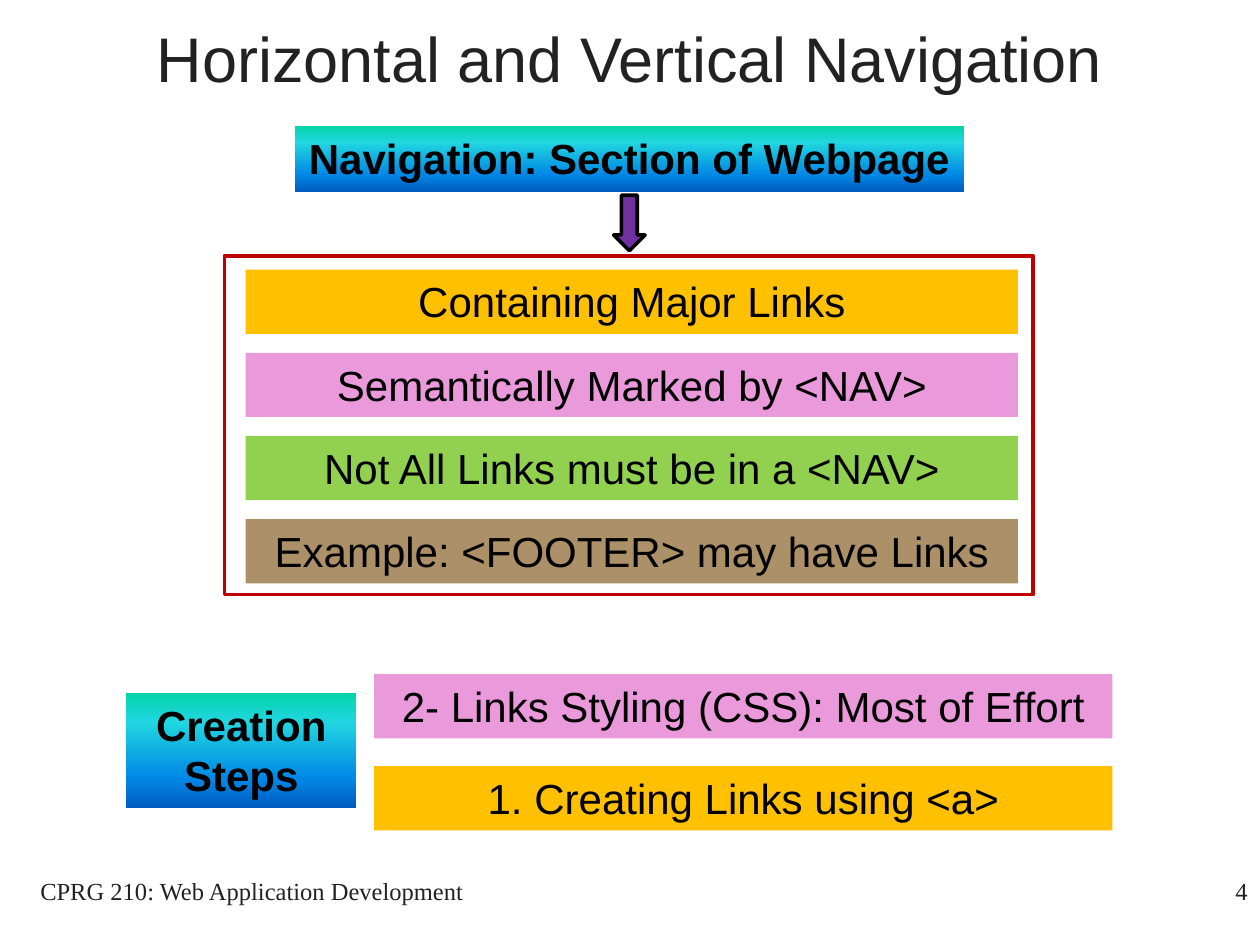
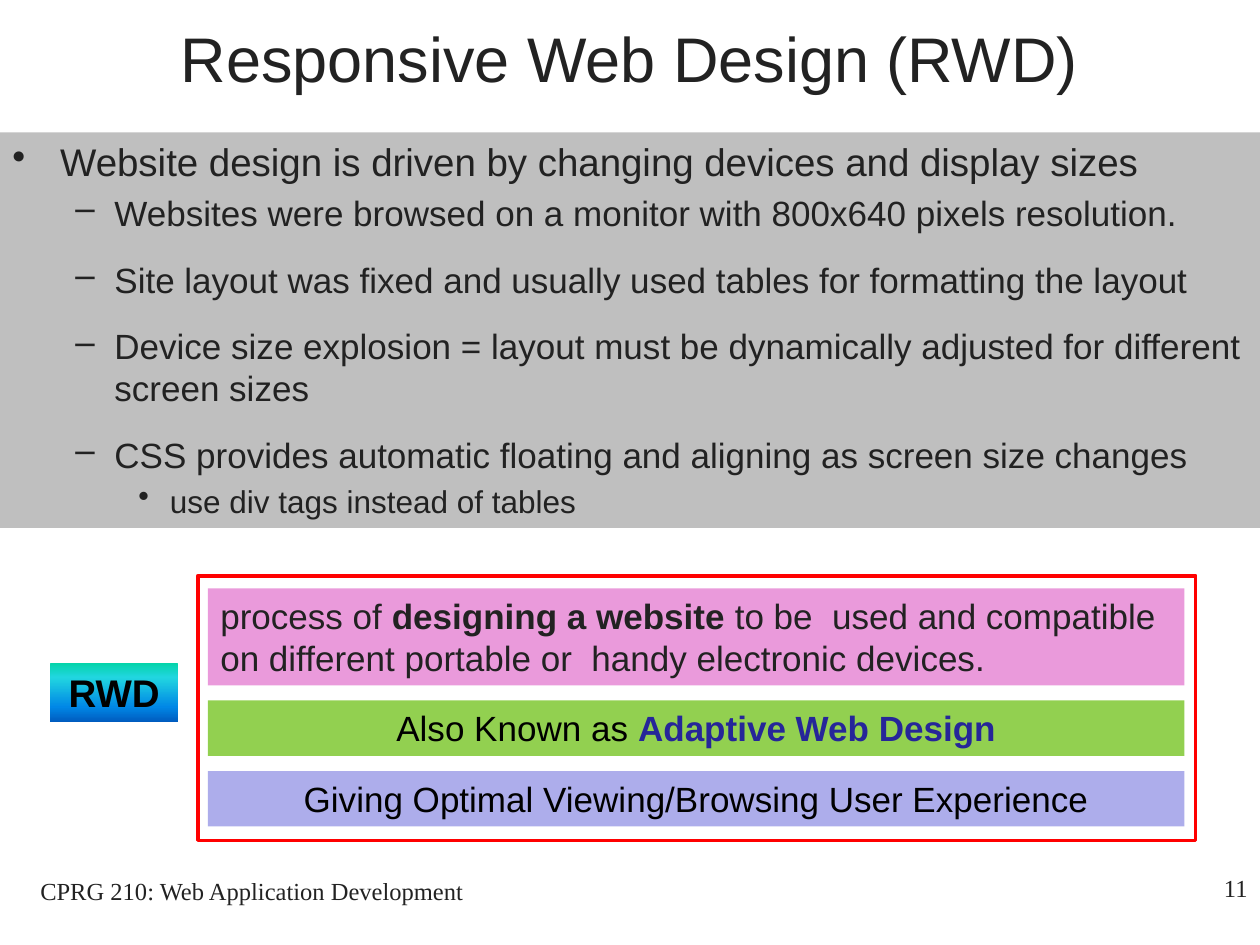
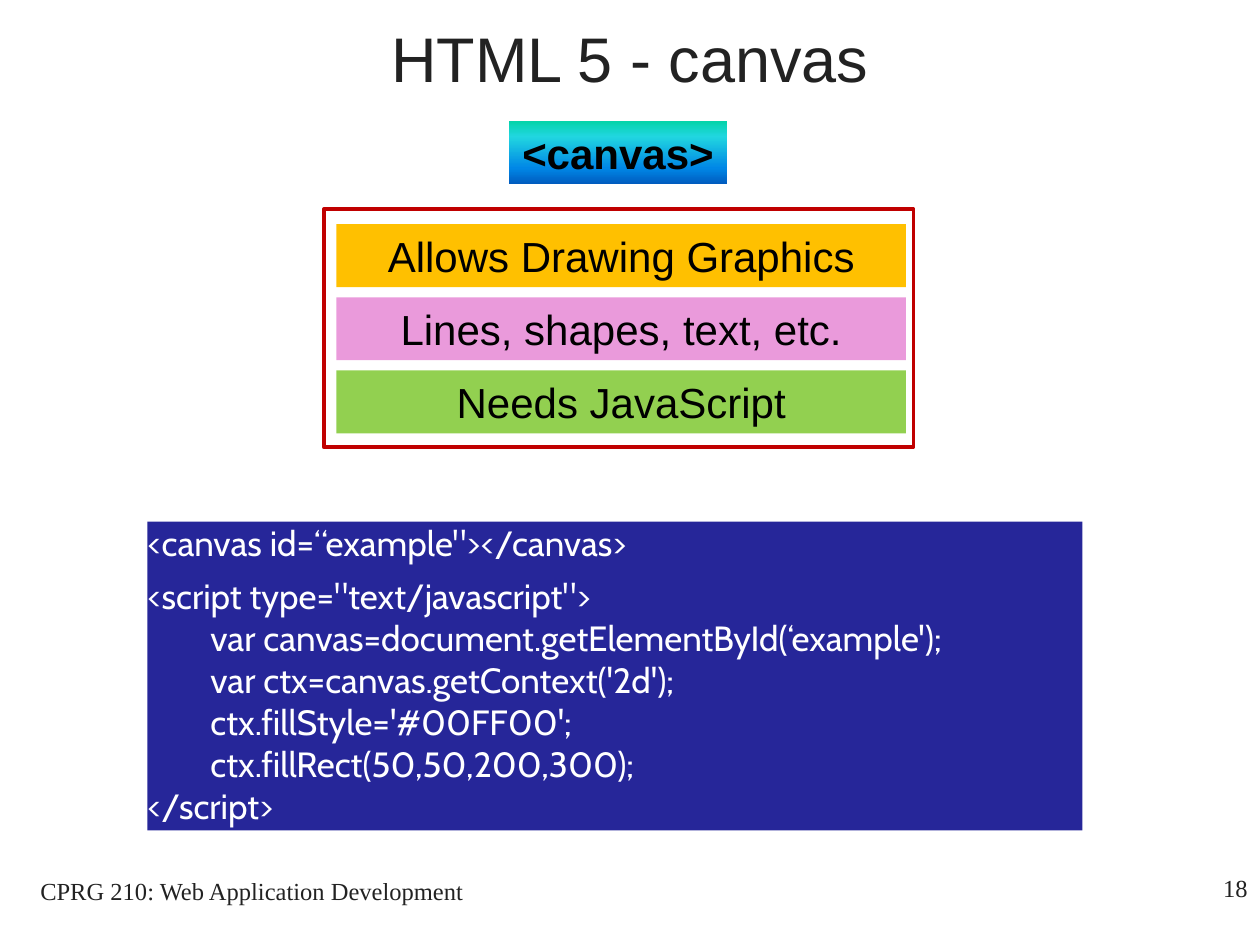
from dataclasses import dataclass

from pptx import Presentation
from pptx.dml.color import RGBColor
from pptx.enum.shapes import MSO_SHAPE
from pptx.enum.text import MSO_ANCHOR, MSO_AUTO_SIZE, PP_ALIGN
from pptx.oxml.ns import qn
from pptx.oxml.xmlchemy import OxmlElement
from pptx.util import Inches, Pt

RECTANGLE, DOWN_ARROW = MSO_SHAPE.RECTANGLE, MSO_SHAPE.DOWN_ARROW
TOP, MIDDLE = MSO_ANCHOR.TOP, MSO_ANCHOR.MIDDLE
LEFT, CENTER, RIGHT = PP_ALIGN.LEFT, PP_ALIGN.CENTER, PP_ALIGN.RIGHT
TITLE_ONLY = 5


@dataclass(frozen=True)
class Theme:
    ink: str = "222222"
    black: str = "000000"
    white: str = "FFFFFF"
    amber: str = "FFC000"
    pink: str = "EA9ADB"
    green: str = "92D050"
    brown: str = "886128"
    lilac: str = "ADADEB"
    navy: str = "262699"
    grey: str = "BFBFBF"
    purple: str = "7030A0"
    dark_red: str = "C00000"
    red: str = "FF0000"
    heading_stops: tuple = ((0, "03D4A8"), (25, "21D6E0"), (75, "0087E6"), (100, "005CBF"))
    body_font: str = "Arial"
    footer_font: str = "Times New Roman"
    code_font: str = "Cabin"
    title_size: int = 36
    bar_size: int = 24
    lead_size: int = 22
    text_size: int = 20
    small_size: int = 18
    footer_size: int = 14
    line_width: int = 2


THEME = Theme()
FOOTER = "CPRG 210: Web Application Development"
OUTLINE_LEVELS = (
    # bullet, left indent, hanging indent, type size
    ("•", 0.38, 0.38, THEME.lead_size),
    ("–", 0.81, 0.31, THEME.text_size),
    ("•", 1.25, 0.25, THEME.small_size),
)


def set_all(target, values):
    for name, value in values.items():
        setattr(target, name, value)


def add_xml(parent, tag, **attributes):
    child = OxmlElement(tag)
    for name, value in attributes.items():
        child.set(name, str(value))
    parent.append(child)
    return child


def place(box, left, top, width, height):
    set_all(box, {"left": Inches(left), "top": Inches(top),
                  "width": Inches(width), "height": Inches(height)})


def set_frame(box, anchor=TOP, margin=None):
    frame = box.text_frame
    set_all(frame, {"word_wrap": True, "auto_size": MSO_AUTO_SIZE.NONE,
                    "vertical_anchor": anchor})
    if margin is not None:
        sides = ("left", "top", "right", "bottom")
        set_all(frame, {f"margin_{side}": Inches(margin) for side in sides})


def write(para, text, size, color=THEME.black, font=THEME.body_font, bold=False, **layout):
    """Add a styled span, turning each newline into a line break."""
    set_all(para, layout)
    for number, line in enumerate(text.split("\n")):
        if number:
            para.add_line_break()
        span = para.add_run()
        span.text = line
        set_all(span.font, {"name": font, "size": Pt(size), "bold": bold})
        span.font.color.rgb = RGBColor.from_string(color)


def add_block(shapes, area, fill=None, line=None, kind=RECTANGLE):
    block = shapes.add_shape(kind, *map(Inches, area))
    block.shadow.inherit = False
    if fill:
        block.fill.solid()
        block.fill.fore_color.rgb = RGBColor.from_string(fill)
    else:
        block.fill.background()
    if line:
        block.line.color.rgb = RGBColor.from_string(line)
        block.line.width = Pt(THEME.line_width)
    else:
        block.line.fill.background()
    return block


def add_bar(shapes, area, text, fill, size=THEME.bar_size):
    bar = add_block(shapes, area, fill)
    set_frame(bar)
    write(bar.text_frame.paragraphs[0], text, size, alignment=CENTER)
    return bar


def add_heading(shapes, area, text, size=THEME.bar_size, anchor=TOP):
    """Add a bold label on the teal-to-blue gradient."""
    heading = add_block(shapes, area)
    heading.fill.gradient()
    heading.fill.gradient_angle = 270
    stops = heading._element.spPr.find(".//" + qn("a:gsLst"))
    for stop in list(stops):
        stops.remove(stop)
    for percent, color in THEME.heading_stops:
        stop = add_xml(stops, "a:gs", pos=percent * 1000)
        add_xml(stop, "a:srgbClr", val=color)
    set_frame(heading, anchor)
    write(heading.text_frame.paragraphs[0], text, size, bold=True, alignment=CENTER)


def make_translucent(block, percent):
    color = block._element.spPr.find(qn("a:solidFill")).find(qn("a:srgbClr"))
    add_xml(color, "a:alpha", val=percent * 1000)


def add_framed_bars(page, frame_area, frame_color, bar_area, gap, rows, size=THEME.bar_size):
    """Stack equal bars inside an outlined frame, as one group; return the bars."""
    shapes = page.shapes.add_group_shape().shapes
    left, top, width, height = bar_area
    bars = [
        add_bar(shapes, (left, top + row * (height + gap), width, height), text, fill, size)
        for row, (text, fill) in enumerate(rows)
    ]
    add_block(shapes, frame_area, line=frame_color)
    return bars


def add_outline(page, area, fill, entries):
    """Fill a panel with bulleted entries of (level, text, points after)."""
    panel = add_block(page.shapes, area, fill)
    set_frame(panel)
    for number, (level, text, after) in enumerate(entries):
        frame = panel.text_frame
        para = frame.add_paragraph() if number else frame.paragraphs[0]
        bullet, indent, hanging, size = OUTLINE_LEVELS[level]
        write(para, text, size, THEME.ink, level=level, alignment=LEFT,
              space_before=Pt(size * 0.2), space_after=Pt(after))
        properties = para._p.get_or_add_pPr()
        properties.set("marL", str(Inches(indent)))
        properties.set("indent", str(-Inches(hanging)))
        add_xml(properties, "a:buChar", char=bullet)


def add_code(page, area, chunks):
    panel = add_block(page.shapes, area, THEME.navy)
    set_frame(panel, margin=0)
    for number, chunk in enumerate(chunks):
        frame = panel.text_frame
        para = frame.add_paragraph() if number else frame.paragraphs[0]
        write(para, chunk, THEME.text_size, THEME.white, THEME.code_font,
              alignment=LEFT, space_after=Pt(6))


def add_footer_text(page, area, text, alignment):
    box = page.shapes.add_textbox(*map(Inches, area))
    set_frame(box)
    write(box.text_frame.paragraphs[0], text, THEME.footer_size, THEME.ink,
          THEME.footer_font, alignment=alignment)


def add_page(deck, title, number, number_top=6.88):
    page = deck.slides.add_slide(deck.slide_layouts[TITLE_ONLY])
    box = page.shapes.title
    place(box, 0.58, -0.17, 8.83, 1.25)
    set_frame(box, MIDDLE)
    write(box.text_frame.paragraphs[0], title, THEME.title_size, THEME.ink, alignment=CENTER)
    add_footer_text(page, (7.92, number_top, 2.08, 0.5), str(number), RIGHT)
    add_footer_text(page, (0, 6.9, 4, 0.5), FOOTER, CENTER)
    return page


def build_navigation(deck):
    page = add_page(deck, "Horizontal and Vertical Navigation", 4, number_top=6.9)
    add_heading(page.shapes, (2.34, 1, 5.31, 0.52), "Navigation: Section of Webpage")
    add_block(page.shapes, (4.87, 1.55, 0.25, 0.44), THEME.purple, THEME.black, DOWN_ARROW)
    bars = add_framed_bars(
        page, (1.78, 2.03, 6.42, 2.69), THEME.dark_red, (1.95, 2.14, 6.13, 0.51), 0.15,
        [("Containing Major Links", THEME.amber),
         ("Semantically Marked by <NAV>", THEME.pink),
         ("Not All Links must be in a <NAV>", THEME.green),
         ("Example: <FOOTER> may have Links", THEME.brown)])
    make_translucent(bars[-1], 70)
    add_heading(page.shapes, (1, 5.5, 1.83, 0.91), "Creation Steps")
    for top, text, fill in (
            (5.35, "2- Links Styling (CSS): Most of Effort", THEME.pink),
            (6.08, "1. Creating Links using <a>", THEME.amber)):
        add_bar(page.shapes, (2.97, top, 5.86, 0.51), text, fill)


def build_responsive_design(deck):
    page = add_page(deck, "Responsive Web Design (RWD)", 11)
    add_outline(page, (0, 1.05, 10, 3.14), THEME.grey, [
        (0, "Website design is driven by changing devices and display sizes", 0),
        (1, "Websites were browsed on a monitor with 800x640 pixels resolution.", 10),
        (1, "Site layout was fixed and usually used tables for formatting the layout", 10),
        (1, "Device size explosion = layout must be dynamically adjusted for different "
            "screen sizes", 10),
        (1, "CSS provides automatic floating and aligning as screen size changes", 0),
        (2, "use div tags instead of tables", 0),
    ])
    definition, synonym, _ = add_framed_bars(
        page, (1.57, 4.57, 7.92, 2.1), THEME.red, (1.65, 5.0, 7.75, 0.44), 0.12,
        [("", THEME.pink),
         ("Also Known as ", THEME.green),
         ("Giving Optimal Viewing/Browsing User Experience", THEME.lilac)],
        THEME.text_size)
    place(definition, 1.65, 4.67, 7.75, 0.77)
    para = definition.text_frame.paragraphs[0]
    para.clear()
    for text, bold in (
            ("process of ", False),
            ("designing a website ", True),
            ("to be  used and compatible on different portable or  handy electronic devices.",
             False)):
        write(para, text, THEME.text_size, THEME.ink, bold=bold, alignment=LEFT,
              space_before=Pt(1))
    write(synonym.text_frame.paragraphs[0], "Adaptive Web Design", THEME.text_size,
          THEME.navy, bold=True)
    add_heading(page.shapes, (0.4, 5.26, 1.01, 0.47), "RWD", THEME.lead_size, MIDDLE)


def build_canvas(deck):
    page = add_page(deck, "HTML 5 - canvas", 18)
    place(page.shapes.title, 0, -0.17, 10, 1.25)
    add_heading(page.shapes, (4.04, 0.96, 1.73, 0.5), "<canvas>")
    add_framed_bars(
        page, (2.57, 1.66, 4.68, 1.89), THEME.dark_red, (2.67, 1.78, 4.52, 0.5), 0.08,
        [("Allows Drawing Graphics", THEME.amber),
         ("Lines, shapes, text, etc.", THEME.pink),
         ("Needs JavaScript", THEME.green)])
    add_code(page, (1.17, 4.14, 7.42, 2.45), [
        "<canvas id=“example\"></canvas>",
        "<script type=\"text/javascript\">\n"
        "\tvar canvas=document.getElementById(‘example');\n"
        "\tvar ctx=canvas.getContext('2d');\n"
        "\tctx.fillStyle='#00FF00';\n"
        "\tctx.fillRect(50,50,200,300);\n"
        "</script>",
    ])


def main():
    deck = Presentation()
    set_all(deck, {"slide_width": Inches(10), "slide_height": Inches(7.5)})
    build_navigation(deck)
    build_responsive_design(deck)
    build_canvas(deck)
    deck.save("out.pptx")


if __name__ == "__main__":
    main()
